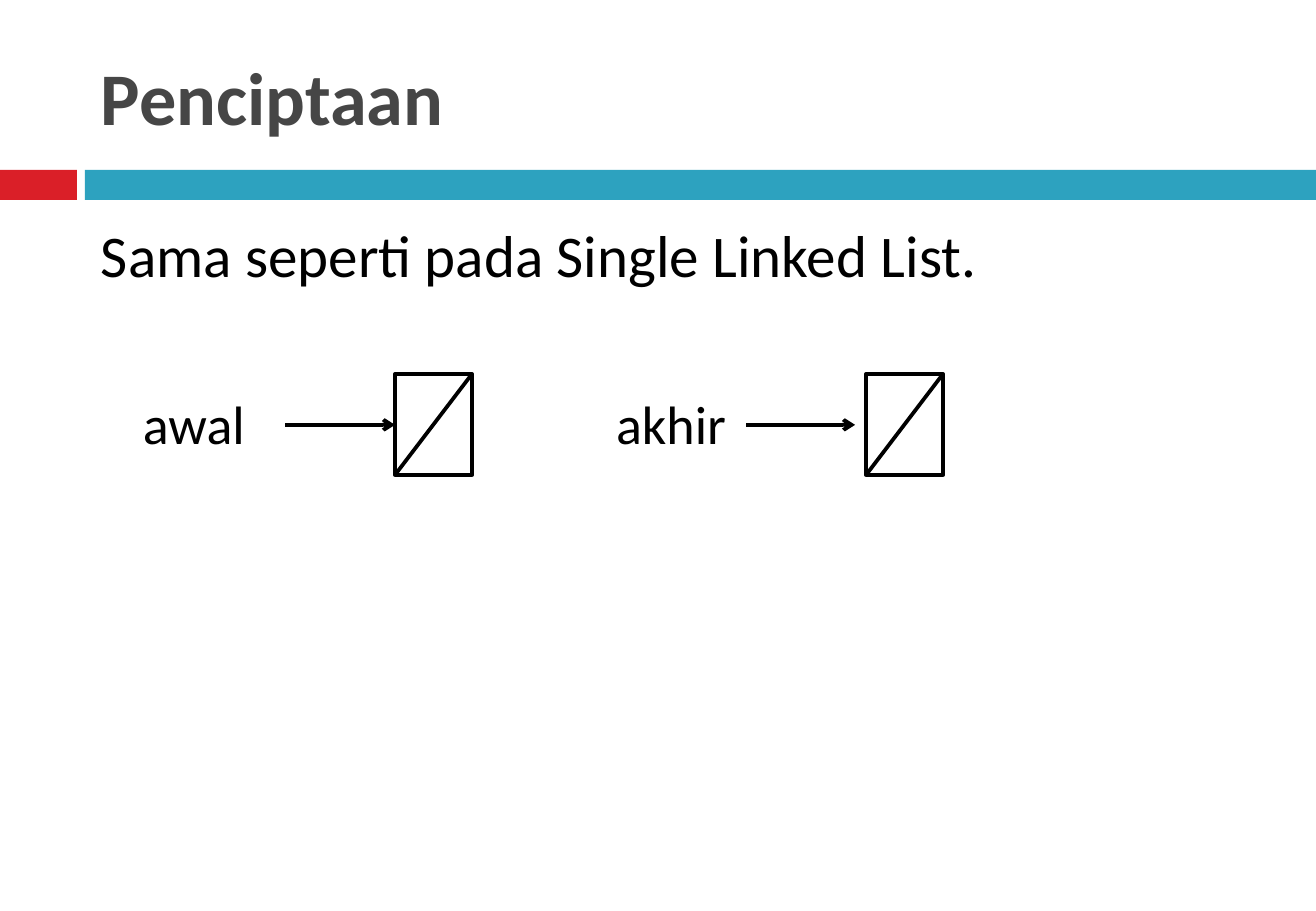
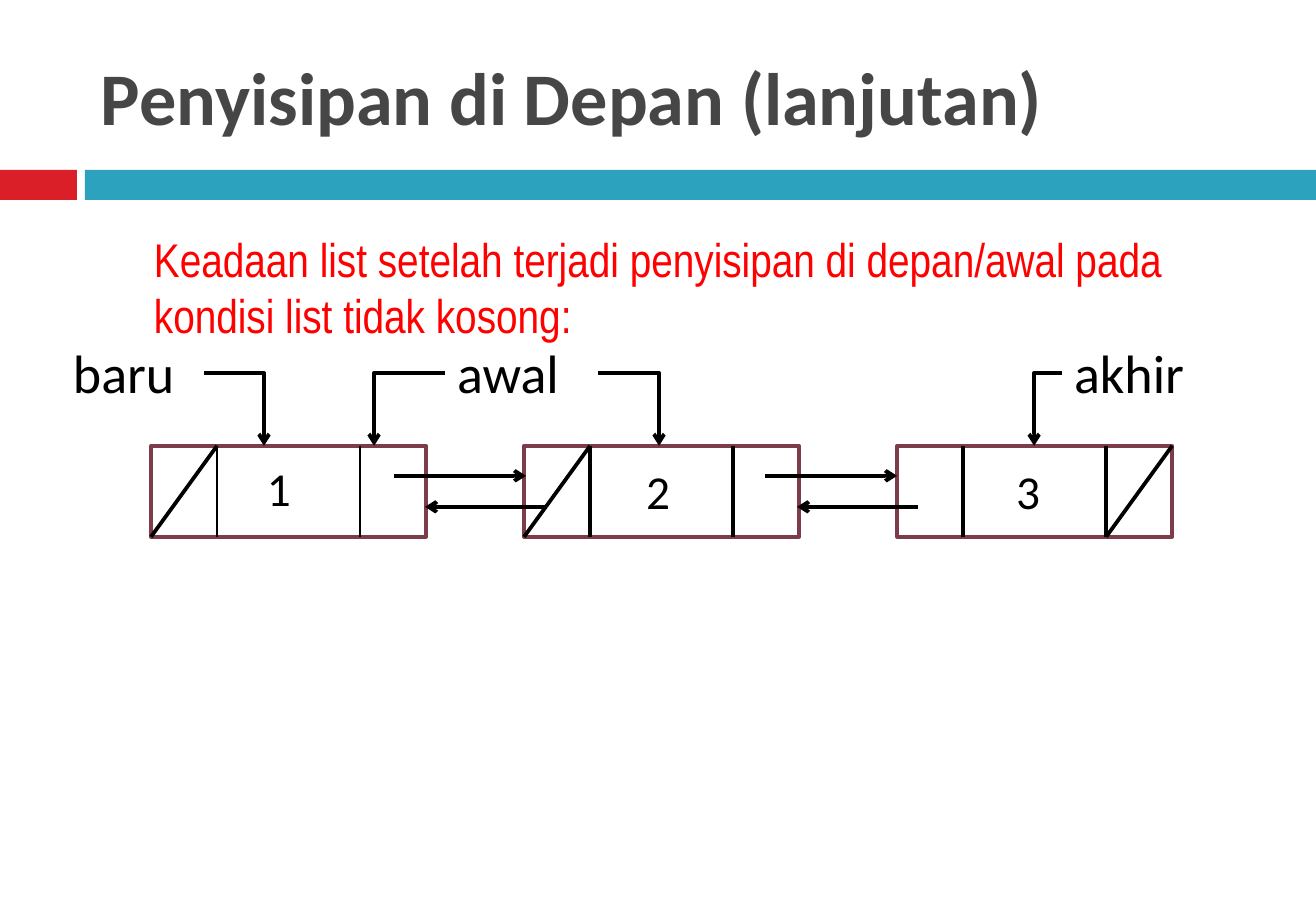
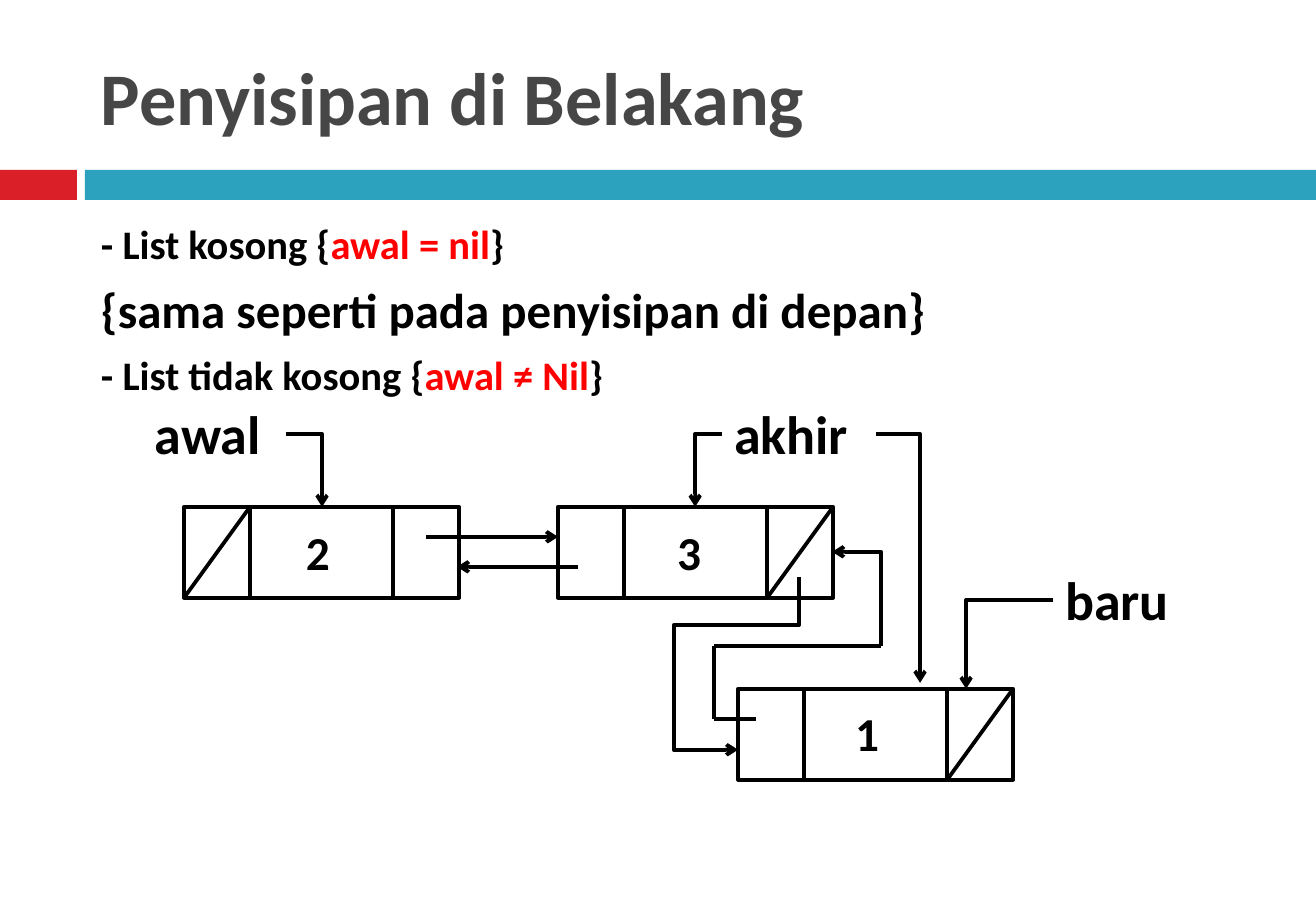
"""Build three slides on creating and inserting into a double linked list."""
from lxml.etree import SubElement
from pptx import Presentation
from pptx.dml.color import RGBColor
from pptx.enum.shapes import MSO_CONNECTOR, MSO_SHAPE
from pptx.enum.text import MSO_ANCHOR
from pptx.oxml.ns import qn
from pptx.util import Emu, Inches, Pt

COLORS = {"red_band": "DA1F28", "blue_band": "2DA2BF", "title": "464646",
          "ink": "000000", "accent": "FF0000", "plum": "7D3C4A", "paper": "FFFFFF"}
BANDS = [((0, 170, 77, 30), "red_band"), ((85, 170, 1231, 30), "blue_band")]
TITLE_BOX = (89, 30, 1174, 131)
BODY_BOX = (89, 213, 1174, 598)
NODE_WIDTH, NODE_HEIGHT, DIVIDERS = 275, 91, (66, 209)
NIL_WIDTH, NIL_HEIGHT = 77, 101
LABEL_HEIGHT, NUMBER_SIZE = 78, (76, 69)

SLIDES = [
    {"title": "Penciptaan",
     "body": [(35, [("Sama seperti pada Single Linked List.", "ink")])],
     "labels": [("awal", 131, 385, 153), ("akhir", 604, 385, 153)],
     "nil_boxes": [(395, 374), (866, 374)],
     "arrows": [(285, 425, 395, 425), (746, 425, 855, 425)]},
    {"title": "Penyisipan di Depan (lanjutan)",
     "caption": ("Keadaan list setelah terjadi penyisipan di depan/awal pada "
                 "kondisi list tidak kosong:", (142, 224, 1094, 126)),
     "labels": [("baru", 61, 334, 143), ("awal", 445, 334, 153), ("akhir", 1062, 334, 153)],
     "outline": "plum",
     "nodes": [("1", 151, 446, (104, 7), "left", 0.79),
               ("2", 524, 446, (110, 10), "left", 2.25),
               ("3", 897, 446, (107, 10), "right", 2.25)],
     "arrows": [(394, 476, 526, 476), (765, 476, 897, 476),
                (547, 507, 425, 507), (918, 507, 797, 507)],
     "elbows": [(204, 373, 264, 446, 0), (445, 373, 374, 446, 180),
                (598, 373, 659, 446, 0), (1062, 373, 1034, 446, 180)]},
    {"title": "Penyisipan di Belakang",
     "bold": True,
     "body": [(24, [("- List kosong {", "ink"), ("awal = nil", "accent"), ("}", "ink")]),
              (29, [("{sama seperti pada penyisipan di depan}", "ink")]),
              (24, [("- List tidak kosong {", "ink"), ("awal ≠ Nil", "accent"), ("}", "ink")])],
     "labels": [("awal", 143, 395, 142), ("akhir", 722, 395, 153), ("baru", 1053, 561, 153)],
     "nodes": [("2", 184, 507, (110, 10), "left", 2.25),
               ("3", 558, 507, (107, 10), "right", 2.25),
               ("1", 738, 689, (105, 10), "right", 2.25)],
     "lines": [(714, 646, 881, 646), (756, 719, 714, 719), (714, 719, 714, 646)],
     "arrows": [(426, 537, 558, 537), (578, 567, 457, 567)],
     "elbows": [(286, 434, 322, 507, 0), (722, 434, 695, 507, 180),
                (876, 434, 920, 683, 0), (1053, 600, 966, 689, 180),
                (881, 646, 832, 552, 270), (799, 577, 738, 750, 90, 27900, 205700)]},
]


def emu(*pixels):
    return [Emu(round(pixel * 914400 / 121.5)) for pixel in pixels]


def color(name):
    return RGBColor.from_string(COLORS[name])


def add_text(slide, box, paragraphs, bold=False, font="Calibri", space=0, anchor=MSO_ANCHOR.TOP):
    frame = slide.shapes.add_textbox(*emu(*box)).text_frame
    frame.word_wrap = True
    frame.vertical_anchor = anchor
    for index, (size, runs) in enumerate(paragraphs):
        paragraph = frame.add_paragraph() if index else frame.paragraphs[0]
        paragraph.space_before = Pt(space)
        paragraph.font.name, paragraph.font.size, paragraph.font.bold = font, Pt(size), bold
        paragraph.font.color.rgb = color(runs[0][1])
        for text, run_color in runs:
            run = paragraph.add_run()
            run.text = text
            if run_color != runs[0][1]:
                run.font.color.rgb = color(run_color)


def add_box(slide, box, fill, outline=None):
    shape = slide.shapes.add_shape(MSO_SHAPE.RECTANGLE, *emu(*box))
    shape.shadow.inherit = False
    shape.fill.solid()
    shape.fill.fore_color.rgb = color(fill)
    if outline:
        shape.line.color.rgb = color(outline)
        shape.line.width = Pt(2.25)
    else:
        shape.line.fill.background()


def add_line(slide, ends, arrow=False, width=2.25, kind=MSO_CONNECTOR.STRAIGHT):
    connector = slide.shapes.add_connector(kind, *emu(*ends))
    connector.line.color.rgb = color("ink")
    connector.line.width = Pt(width)
    properties = connector.element.spPr
    if arrow:
        SubElement(properties.find(qn("a:ln")), qn("a:tailEnd"), type="arrow")
    SubElement(properties, qn("a:effectLst"))
    return connector


def add_elbow(slide, left, top, right, bottom, heading, *adjustments):
    """Draw a bent arrow whose first leg runs at the heading, in degrees clockwise from right."""
    center_x, center_y = (left + right) / 2, (top + bottom) / 2
    half_width, half_height = abs(right - left) / 2, abs(bottom - top) / 2
    if heading % 180:
        half_width, half_height = half_height, half_width
    if heading >= 180:
        half_height = -half_height
    ends = (center_x - half_width, center_y - half_height,
            center_x + half_width, center_y + half_height)
    properties = add_line(slide, ends, True, kind=MSO_CONNECTOR.ELBOW).element.spPr
    properties.find(qn("a:xfrm")).set("rot", str(heading * 60000))
    geometry = properties.find(qn("a:prstGeom"))
    geometry.set("prst", f"bentConnector{2 + len(adjustments)}")
    for index, value in enumerate(adjustments, 1):
        SubElement(geometry.find(qn("a:avLst")), qn("a:gd"), name=f"adj{index}", fmla=f"val {value}")


def add_node(slide, number, left, top, offset, nil_side, divider_width, outline, bold):
    right, bottom = left + NODE_WIDTH, top + NODE_HEIGHT
    add_box(slide, (left, top, NODE_WIDTH, NODE_HEIGHT), "paper", outline)
    first, second = (left + divider for divider in DIVIDERS)
    for divider in (first, second):
        add_line(slide, (divider, top, divider, bottom), width=divider_width)
    start, end = (first, left) if nil_side == "left" else (right, second)
    add_line(slide, (start, top, end, bottom))
    number_box = (left + offset[0], top + offset[1], *NUMBER_SIZE)
    add_text(slide, number_box, [(28, [(number, "ink")])], bold)


def add_slide(presentation, content):
    slide = presentation.slides.add_slide(presentation.slide_layouts[6])
    bold = content.get("bold", False)
    for box, fill in BANDS:
        add_box(slide, box, fill)
    add_text(slide, TITLE_BOX, [(44, [(content["title"], "title")])], True, anchor=MSO_ANCHOR.MIDDLE)
    if "body" in content:
        add_text(slide, BODY_BOX, content["body"], bold, space=7)
    if "caption" in content:
        text, box = content["caption"]
        add_text(slide, box, [(28, [(text, "accent")])], font="Arial Narrow")
    for left, top in content.get("nil_boxes", []):
        add_box(slide, (left, top, NIL_WIDTH, NIL_HEIGHT), "paper", "ink")
        add_line(slide, (left + NIL_WIDTH, top, left, top + NIL_HEIGHT))
    for node in content.get("nodes", []):
        add_node(slide, *node, content.get("outline", "ink"), bold)
    for text, left, top, width in content["labels"]:
        add_text(slide, (left, top, width, LABEL_HEIGHT), [(32, [(text, "ink")])], bold)
    for ends in content.get("lines", []):
        add_line(slide, ends)
    for ends in content["arrows"]:
        add_line(slide, ends, True)
    for elbow in content.get("elbows", []):
        add_elbow(slide, *elbow)


presentation = Presentation()
presentation.slide_width, presentation.slide_height = Inches(10.83), Inches(7.5)
for content in SLIDES:
    add_slide(presentation, content)
presentation.save("out.pptx")
